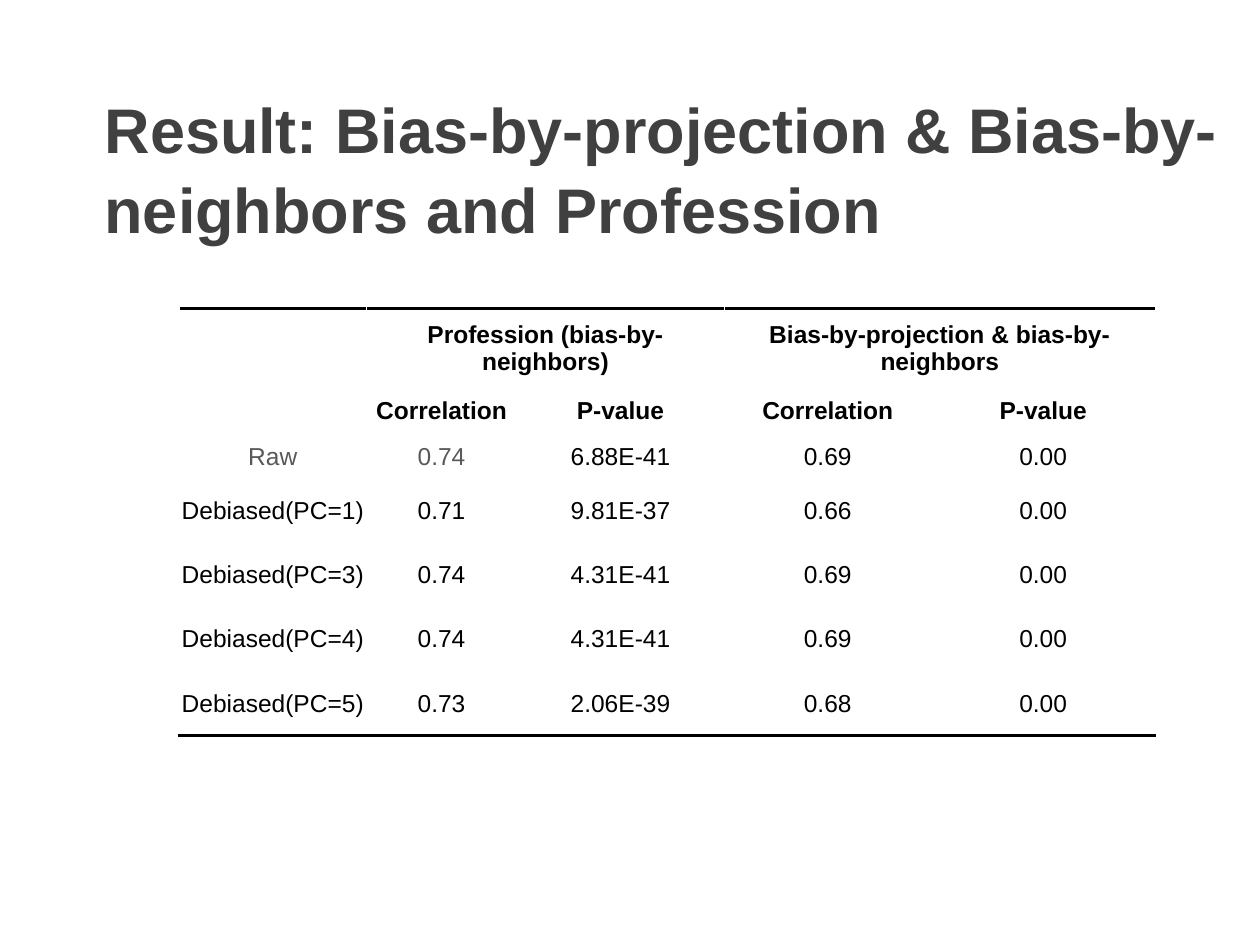
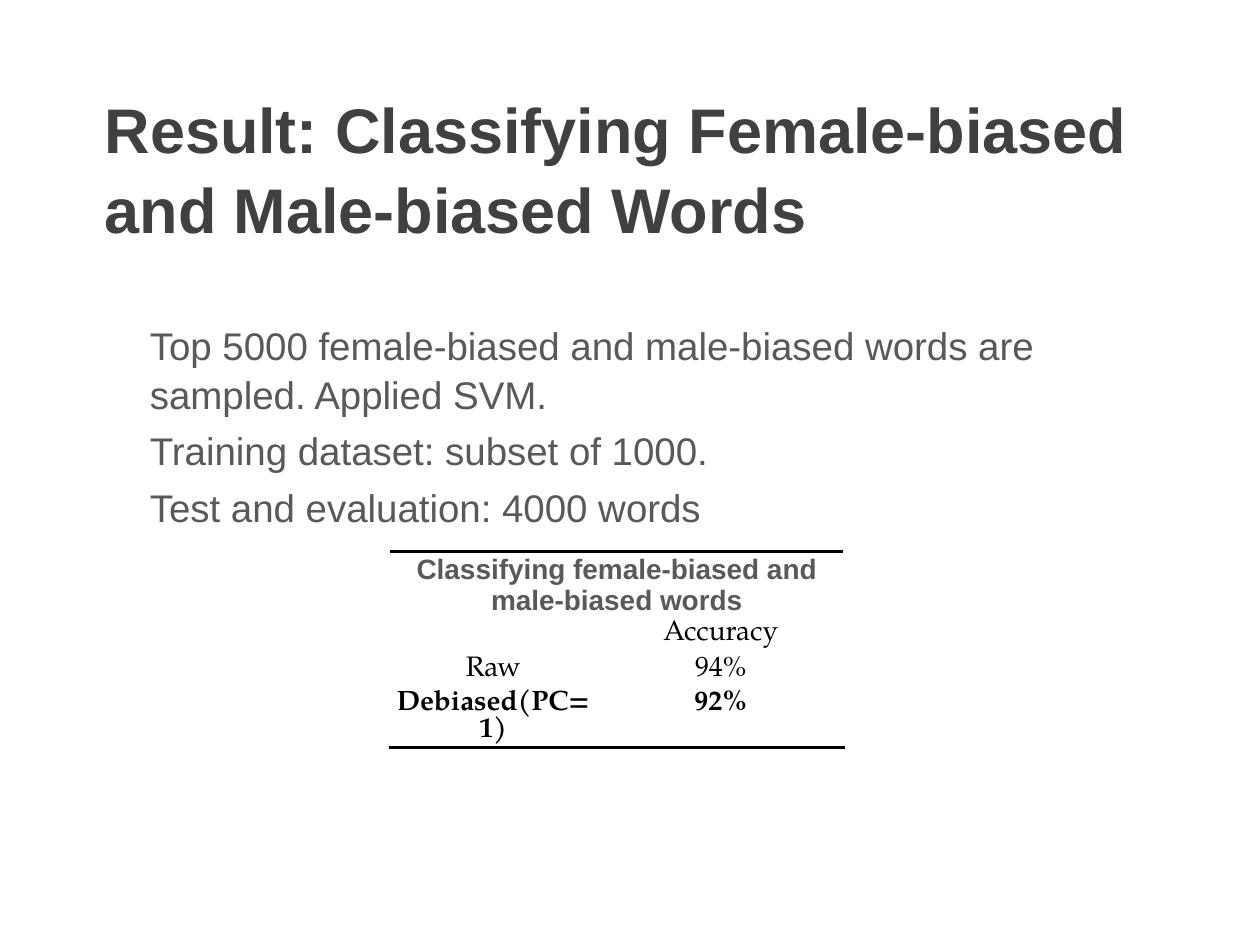
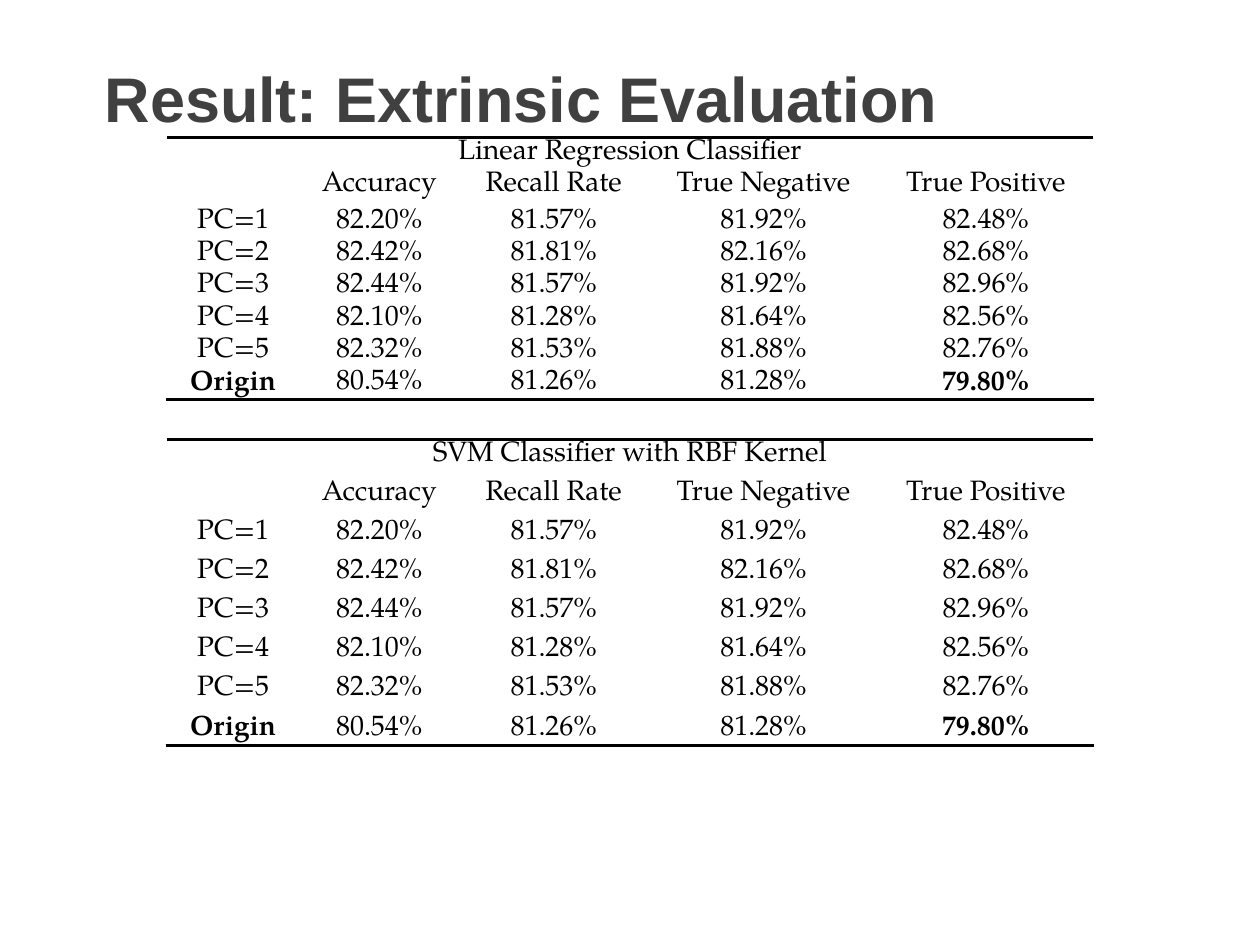
from dataclasses import dataclass

from lxml import etree
from pptx import Presentation
from pptx import util as u
from pptx.dml.color import RGBColor
from pptx.enum import text
from pptx.oxml.ns import qn


@dataclass(frozen=True)
class Theme:
    sans: str = "Arial"
    serif: str = "TeX Gyre Pagella"
    title_color: RGBColor = RGBColor(0x40, 0x40, 0x40)
    grey: RGBColor = RGBColor(0x59, 0x59, 0x59)
    black: RGBColor = RGBColor(0, 0, 0)
    white: RGBColor = RGBColor(255, 255, 255)
    title_size: int = 36
    body_size: int = 22
    wide_size: int = 14
    small_size: int = 16
    rule_width: int = 2


theme = Theme()


def add_text(page, place, lines, size, color, bold, indent, before):
    box = page.shapes.add_textbox(*map(u.Inches, place))
    frame = box.text_frame
    settings = {"word_wrap": True, "margin_left": u.Inches(0.08), "margin_top": u.Inches(0.07),
                "margin_right": u.Inches(0.12)}
    for name, value in settings.items():
        setattr(frame, name, value)
    for number, line in enumerate(lines):
        para = frame.paragraphs[0] if number == 0 else frame.add_paragraph()
        para.line_spacing = 1.05
        para.space_before = u.Pt(before if number else 0)
        para._p.get_or_add_pPr().set("marL", str(u.Inches(indent)))
        span = para.add_run()
        span.text = line
        for name, value in {"name": theme.sans, "size": u.Pt(size), "bold": bold}.items():
            setattr(span.font, name, value)
        span.font.color.rgb = color


def add_grid(page, place, widths, heights, rows, font, size, spacing, anchor, bold, grey):
    shape = page.shapes.add_table(len(rows), len(widths), *map(u.Inches, place))
    table = shape.table
    table.first_row = table.horz_banding = False
    for column, width in zip(table.columns, widths):
        column.width = u.Inches(width)
    for row, height in zip(table.rows, heights):
        row.height = u.Inches(height)
    shape.height = u.Inches(place[3])
    for r, values in enumerate(rows):
        for c, value in enumerate(values):
            cell = table.cell(r, c)
            for side in ("left", "top", "right", "bottom"):
                setattr(cell, f"margin_{side}", u.Inches(0.02))
            cell.vertical_anchor = anchor
            edge = {0: "a:lnT", len(rows) - 1: "a:lnB"}.get(r)
            if edge:
                line = etree.SubElement(cell._tc.get_or_add_tcPr(), qn(edge),
                                        w=str(u.Pt(theme.rule_width)))
                paint = etree.SubElement(line, qn("a:solidFill"))
                etree.SubElement(paint, qn("a:srgbClr"), val=str(theme.black))
            cell.fill.solid()
            cell.fill.fore_color.rgb = theme.white
            para = cell.text_frame.paragraphs[0]
            if not value:
                etree.SubElement(para._p, qn("a:endParaRPr"), sz="1000")
                continue
            heading = (r, c) in grey and (r, c) in bold
            para.alignment = text.PP_ALIGN.CENTER
            para.line_spacing = u.Pt(17.6) if heading else spacing
            span = para.add_run()
            span.text = value
            settings = {"name": theme.sans if heading else font, "size": u.Pt(size),
                        "bold": (r, c) in bold}
            for name, setting in settings.items():
                setattr(span.font, name, setting)
            span.font.color.rgb = theme.grey if (r, c) in grey else theme.black
        for c, value in enumerate(values):
            if value and None in values[c + 1:c + 2]:
                end = c + 1
                while end + 1 < len(values) and values[end + 1] is None:
                    end += 1
                table.cell(r, c).merge(table.cell(r, end))


deck = Presentation()
deck.slide_width, deck.slide_height = u.Inches(10), u.Inches(7.5)
pages = [deck.slides.add_slide(deck.slide_layouts[6]) for _ in range(3)]
profession, words, extrinsic = pages

add_grid(
    profession, (1.42, 2.45, 7.75, 3.39), (1.49, 1.19, 1.65, 1.64, 1.78),
    [0.63, 0.37, 0.35] + [0.51] * 4,
    [
        ["", "Profession (bias-by-neighbors)", None, "Bias-by-projection & bias-by-neighbors", None],
        ["", "Correlation", "P-value", "Correlation", "P-value"],
        ["Raw", "0.74", "6.88E-41", "0.69", "0.00"],
        ["Debiased(PC=1)", "0.71", "9.81E-37", "0.66", "0.00"],
        ["Debiased(PC=3)", "0.74", "4.31E-41", "0.69", "0.00"],
        ["Debiased(PC=4)", "0.74", "4.31E-41", "0.69", "0.00"],
        ["Debiased(PC=5)", "0.73", "2.06E-39", "0.68", "0.00"],
    ],
    theme.sans, theme.wide_size, 1.0, text.MSO_ANCHOR.MIDDLE,
    bold={(r, c) for r in (0, 1) for c in range(5)}, grey={(2, 0), (2, 1)})

add_text(
    words, (0.66, 2.47, 8.94, 3.38),
    ["Top 5000 female-biased and male-biased words are sampled. Applied SVM.",
     "Training dataset: subset of 1000.",
     "Test and evaluation: 4000 words"],
    theme.body_size, theme.grey, False, 0.45, 4.5)
add_grid(
    words, (3.09, 4.38, 3.61, 1.47), (1.65, 1.96), (0.34, 0.29, 0.26, 0.23),
    [
        ["Classifying female-biased and male-biased words", None],
        ["", "Accuracy"],
        ["Raw", "94%"],
        ["Debiased(PC=1)", "92%"],
    ],
    theme.serif, theme.small_size, u.Pt(15.6), text.MSO_ANCHOR.TOP,
    bold={(0, 0), (3, 0), (3, 1)}, grey={(0, 0)})

scores = [
    ["", "Accuracy", "Recall Rate", "True Negative", "True Positive"],
    ["PC=1", "82.20%", "81.57%", "81.92%", "82.48%"],
    ["PC=2", "82.42%", "81.81%", "82.16%", "82.68%"],
    ["PC=3", "82.44%", "81.57%", "81.92%", "82.96%"],
    ["PC=4", "82.10%", "81.28%", "81.64%", "82.56%"],
    ["PC=5", "82.32%", "81.53%", "81.88%", "82.76%"],
    ["Origin", "80.54%", "81.26%", "81.28%", "79.80%"],
]
classifiers = [
    ("Linear Regression Classifier", 1.09, 2.4, [0.23, 0.29] + [0.23] * 6),
    ("SVM Classifier with RBF Kernel", 3.49, 2.5, [0.31] * 7 + [0.18]),
]
for name, top, height, heights in classifiers:
    add_grid(
        extrinsic, (1.32, top, 7.37, height), (1.06, 1.26, 1.51, 1.82, 1.71), heights,
        [[name] + [None] * 4] + scores,
        theme.serif, theme.small_size, u.Pt(15.6), text.MSO_ANCHOR.TOP,
        bold={(7, 0), (7, 4)}, grey=set())

titles = [
    ("Result: Bias-by-projection & Bias-by-neighbors and Profession", 0.62, 9.25),
    ("Result: Classifying Female-biased and Male-biased Words", 0.62, 8.48),
    ("Result: Extrinsic Evaluation", 0.37, 8.48),
]
for page, (title, top, width) in zip(pages, titles):
    add_text(page, (0.75, top, width, 1.15), [title], theme.title_size, theme.title_color, True, 0, 0)

deck.save("out.pptx")
